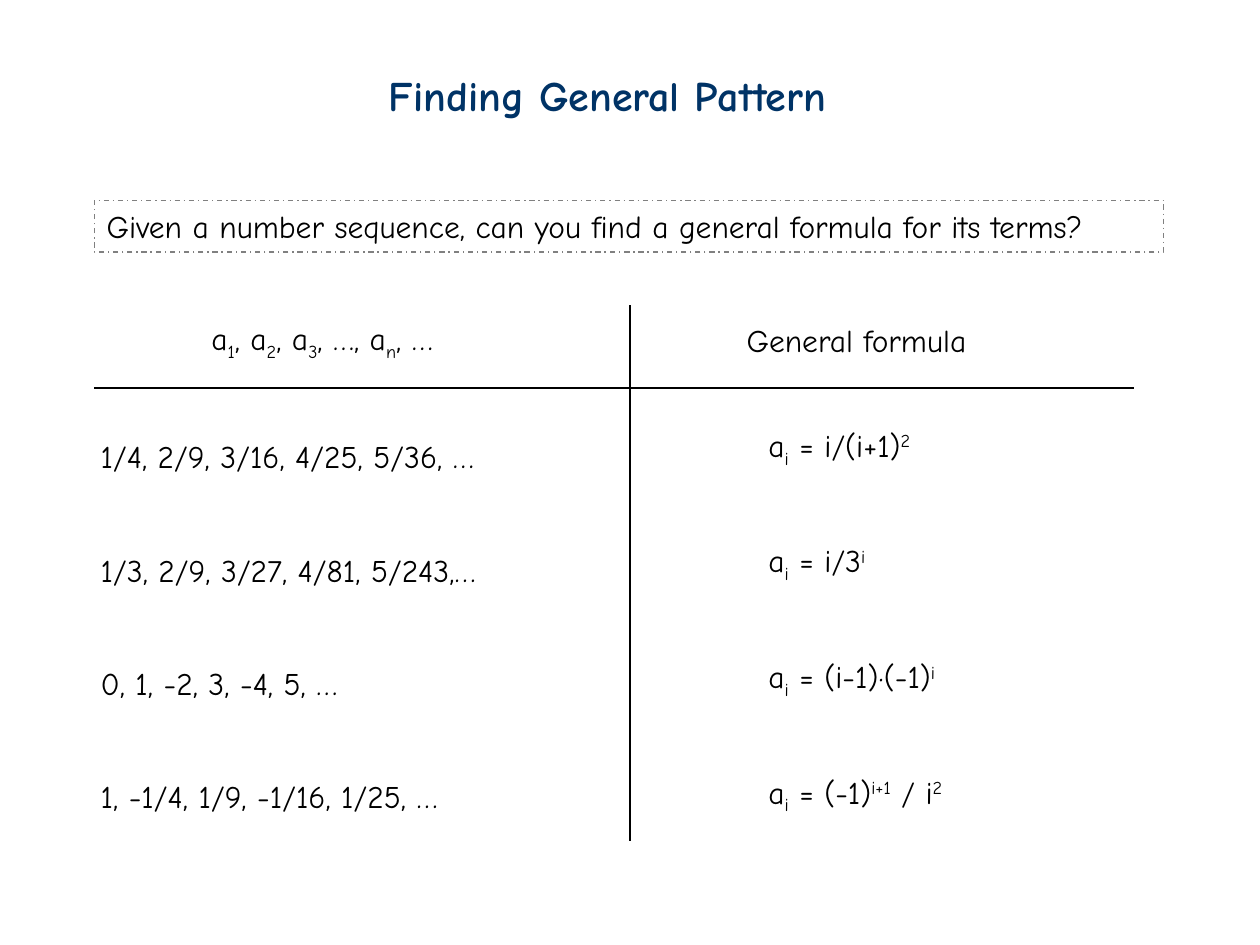
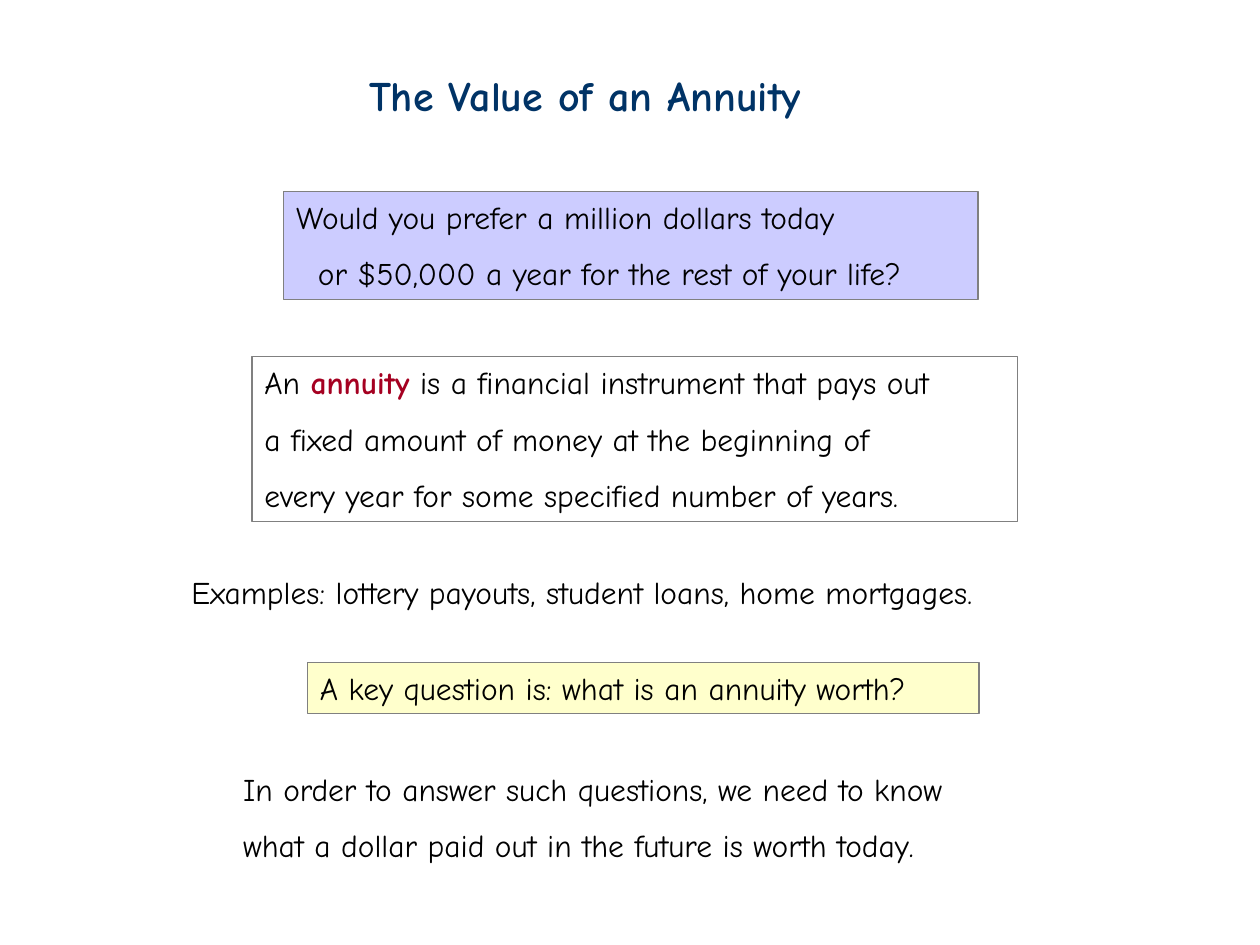
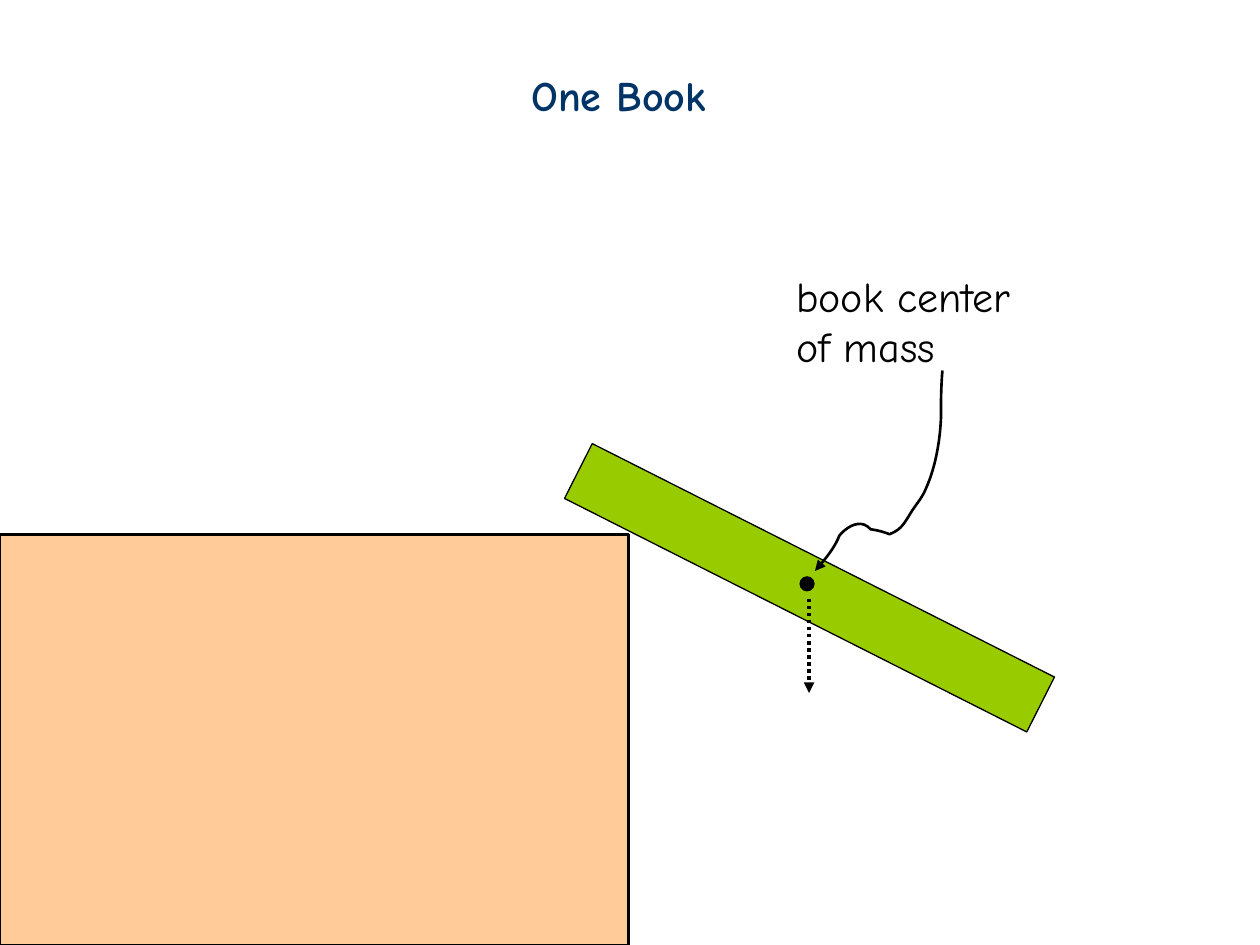
from dataclasses import dataclass

from lxml.etree import SubElement as sub
from pptx import Presentation
from pptx.dml.color import RGBColor as RGB
from pptx.enum.dml import MSO_LINE as Dash
from pptx.enum.shapes import MSO_CONNECTOR as Link, MSO_SHAPE as Form
from pptx.enum.text import MSO_ANCHOR as Anchor, PP_ALIGN as Align
from pptx.oxml.ns import qn
from pptx.util import Cm, Pt


@dataclass(frozen=True)
class Theme:
    font: str = "Comic Neue"
    head: int = 24
    body: int = 18
    ink: str = "000000"
    navy: str = "003366"
    red: str = "A50021"
    gray: str = "808080"
    lilac: str = "CCCCFF"
    cream: str = "FFFFCC"
    peach: str = "FFCC99"
    green: str = "99CC00"
    thin: float = 0.75
    bold: float = 1.5
    dots: float = 2


@dataclass(frozen=True)
class Box:
    """A region in centimetres."""
    x: float
    y: float
    w: float
    h: float

    def inner(self, x, y, w, h):
        return Box(self.x + x, self.y + y, w, h)

    def point(self, x, y):
        return Cm(self.x + x), Cm(self.y + y)

    def frame(self):
        return Cm(self.x), Cm(self.y), Cm(self.w), Cm(self.h)


T = Theme()
LINE = 1.02  # height of a box with one body line


# Shared parts

def stroke(shape, color, width, dash=None, arrow=False):
    line = shape.line
    line.color.rgb = RGB.from_string(color)
    line.width = Pt(width)
    if dash is not None:
        line.dash_style = dash
    if arrow:
        ln = shape._element.spPr.find(qn("a:ln"))
        sub(ln, qn("a:tailEnd"), type="triangle")


def rule(slide, start, end, width, **style):
    line = slide.shapes.add_connector(Link.STRAIGHT, *start, *end)
    stroke(line, T.ink, width, **style)
    sub(line._element.spPr, qn("a:effectLst"))


def block(slide, box, form, fill=None, color=T.ink, dash=None):
    shape = slide.shapes.add_shape(form, *box.frame())
    shape.shadow.inherit = False
    if fill:
        shape.fill.solid()
        shape.fill.fore_color.rgb = RGB.from_string(fill)
    else:
        shape.fill.background()
    stroke(shape, color, T.thin, dash)
    return shape


def mark(para, text, size, color, bold):
    """Split at bars: a leading _ lowers, ^ raises, * stresses the piece."""
    for piece in text.split("|"):
        sign = piece[0] if piece[0] in "_^*" else ""
        run = para.add_run()
        run.text = piece[len(sign):]
        font = run.font
        font.name, font.size = T.font, Pt(size)
        font.bold = bold or sign == "*"
        font.color.rgb = RGB.from_string(T.red if sign == "*" else color)
        shift = {"_": "-25000", "^": "30000"}.get(sign)
        if shift:
            run._r.get_or_add_rPr().set("baseline", shift)


def write(shape, lines, size=T.body, color=T.ink, bold=False,
          lead=None, gap=0, dent=0):
    """Fill a shape; lead, gap and dent apply after the first line."""
    frame = shape.text_frame
    frame.word_wrap = True
    frame.vertical_anchor = Anchor.TOP
    for i, text in enumerate(lines):
        para = frame.add_paragraph() if i else frame.paragraphs[0]
        para.alignment = Align.LEFT
        if i and lead:
            para.line_spacing = lead
        if i and gap:
            para.space_before = Pt(gap)
        if i and dent:
            para._p.get_or_add_pPr().set("marL", str(Cm(dent)))
        mark(para, text, size, color, bold)


def label(slide, box, *lines, **style):
    write(slide.shapes.add_textbox(*box.frame()), lines, **style)


def title(slide, x, w, text):
    label(slide, Box(x, 1.27, w, 1.27), text,
          size=T.head, color=T.navy, bold=True)


# Slide 1: sequences and their formulas

def prompt(slide, box):
    shape = block(slide, box, Form.RECTANGLE, color=T.gray, dash=Dash.DASH_DOT)
    write(shape, ["Given a number sequence, can you find "
                  "a general formula for its terms?"])


def grid(slide, box):
    mid, top = 10.8, 1.67
    terms = ["1/4, 2/9, 3/16, 4/25, 5/36, …", "1/3, 2/9, 3/27, 4/81, 5/243,…",
             "0, 1, -2, 3, -4, 5, …", "1, -1/4, 1/9, -1/16, 1/25, …"]
    rules = ["a|_i| = i/(i+1)|^2", "a|_i| = i/3|^i",
             "a|_i| = (i-1)·(-1)|^i", "a|_i| = (-1)|^i+1| / i|^2"]

    # Column heads
    label(slide, box.inner(2.11, 0.15, 5.44, LINE),
          "a|_1|, a|_2|, a|_3|, …, a|_n|, …")
    label(slide, box.inner(12.9, 0.2, 5.26, LINE), "General formula")

    # Columns
    label(slide, box.inner(-0.12, 2.54, 9.45, 8.64), *terms, gap=43.2)
    for i, text in enumerate(rules):
        label(slide, box.inner(13.34, 2.31 + 2.33 * i, 4.4, LINE), text)

    # Cross lines
    rule(slide, box.point(mid, 0), box.point(mid, box.h), T.thin)
    rule(slide, box.point(0, top), box.point(box.w, top), T.thin)


# Slide 2: annuity

def notes(slide, box):
    def panel(spot, *lines, fill=None, **style):
        shape = block(slide, spot, Form.RECTANGLE, fill, T.gray)
        write(shape, lines, lead=1.5, **style)

    panel(box.inner(2.11, 0, 14, 2.18),
          "Would you prefer a million dollars today",
          "or $50,000 a year for the rest of your life?",
          fill=T.lilac, dent=0.44)
    panel(box.inner(1.47, 3.33, 15.44, 3.33),
          "An |*annuity| is a financial instrument that pays out",
          "a fixed amount of money at the beginning of",
          "every year for some specified number of years.")
    label(slide, box.inner(0, 7.57, box.w, LINE),
          "Examples: lottery payouts, student loans, home mortgages.")
    panel(box.inner(2.59, 9.5, 13.54, LINE),
          "A key question is: what is an annuity worth?", fill=T.cream)
    label(slide, box.inner(1.04, 11.53, 16.08, 2.16),
          "In order to answer such questions, we need to know",
          "what a dollar paid out in the future is worth today.", lead=1.5)


# Slide 3: book on the edge of a desk

def curve(start, bends, steps=10):
    """Points along a chain of cubic curves."""
    points = [start]
    for a, b, end in bends:
        for t in (i / steps for i in range(1, steps + 1)):
            s = 1 - t
            points.append(tuple(
                s**3 * p + 3 * s * s * t * q + 3 * s * t * t * r + t**3 * e
                for p, q, r, e in zip(start, a, b, end)))
        start = end
    return points


def desk(slide, box):
    block(slide, box, Form.RECTANGLE, T.peach)
    edge = box.point(box.w, 0)
    rule(slide, box.point(0, 0), edge, T.bold)
    rule(slide, edge, box.point(box.w, box.h), T.bold)


def scene(slide, box):
    desk(slide, box.inner(0, 5.44, 12.67, 8.28))

    # Tilted book and its center
    book = block(slide, box.inner(11.1, 5.9, 10.44, 1.24),
                 Form.RECTANGLE, T.green)
    book.rotation = 26.8
    block(slide, box.inner(16.13, 6.3, 0.28, 0.28), Form.OVAL, T.ink)

    # Pointer from the label to the center
    bends = [((18.97, 2.47), (18.97, 2.8), (18.97, 3.1)),
             ((18.95, 3.59), (18.85, 4.14), (18.64, 4.58)),
             ((18.57, 4.73), (18.44, 4.88), (18.36, 5.01)),
             ((18.24, 5.21), (18.16, 5.36), (17.93, 5.44)),
             ((17.81, 5.39), (17.68, 5.36), (17.55, 5.34)),
             ((17.35, 5.11), (17.07, 5.29), (16.92, 5.47)),
             ((16.84, 5.69), (16.66, 5.92), (16.43, 6.18))]
    first, *rest = [box.point(*p) for p in curve((19, 2.14), bends)]
    pen = slide.shapes.build_freeform(*first)
    pen.add_line_segments(rest, close=False)
    hook = pen.convert_to_shape()
    hook.shadow.inherit = False
    hook.fill.background()
    stroke(hook, T.ink, T.bold, arrow=True)

    # Pull of gravity
    rule(slide, box.point(16.31, 6.74), box.point(16.31, 8.64), T.dots,
         dash=Dash.ROUND_DOT, arrow=True)
    label(slide, box.inner(15.8, 0, 5.59, 2.29),
          "book center", "of mass", size=T.head)


def main():
    deck = Presentation()
    deck.slide_width, deck.slide_height = Cm(25.4), Cm(19.05)
    one, two, three = (deck.slides.add_slide(deck.slide_layouts[6])
                       for _ in range(3))

    title(one, 7.59, 10.19, "Finding General Pattern")
    prompt(one, Box(1.9, 4.04, 21.56, 1.04))
    grid(one, Box(1.9, 6.15, 20.96, 10.8))

    title(two, 7.19, 10.57, "The Value of an Annuity")
    notes(two, Box(3.61, 3.86, 18.21, 13.7))

    scene(three, Box(0, 5.33, 25.4, 13.72))
    title(three, 10.46, 4.34, "One Book")

    deck.save("out.pptx")


if __name__ == "__main__":
    main()
